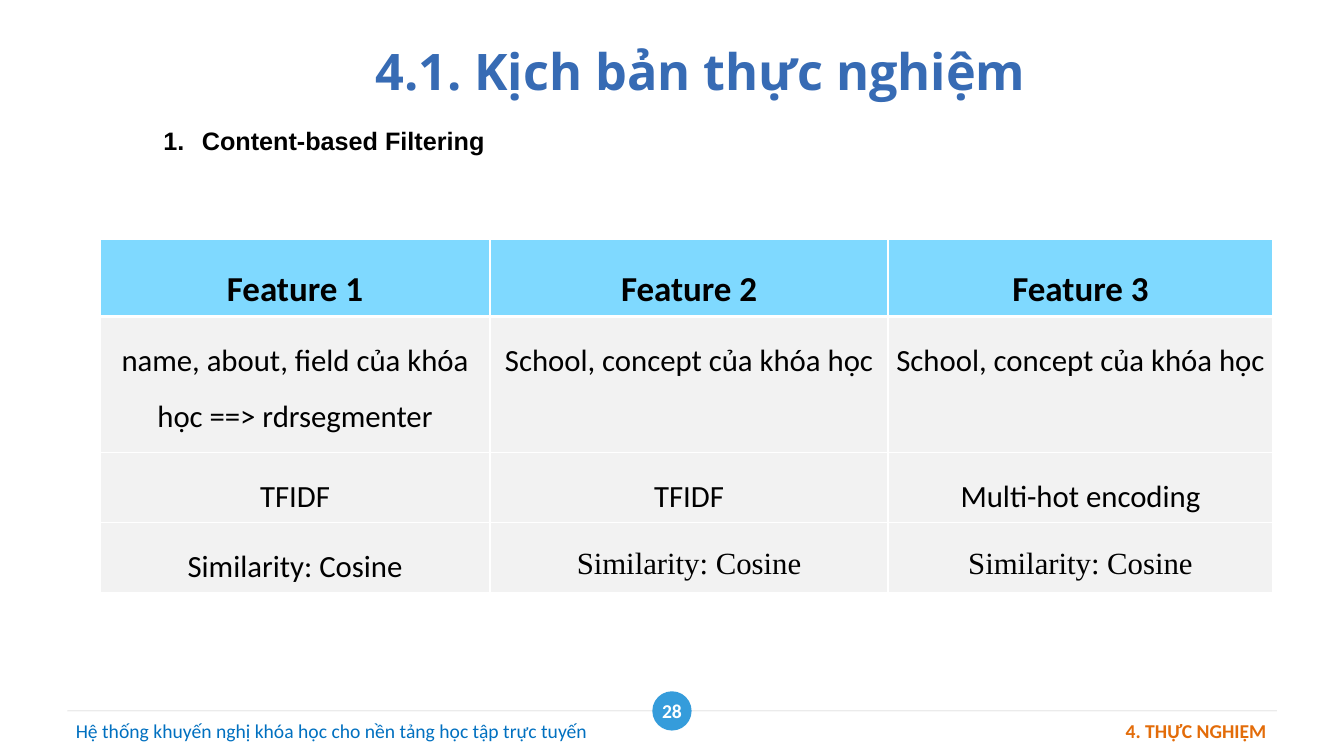
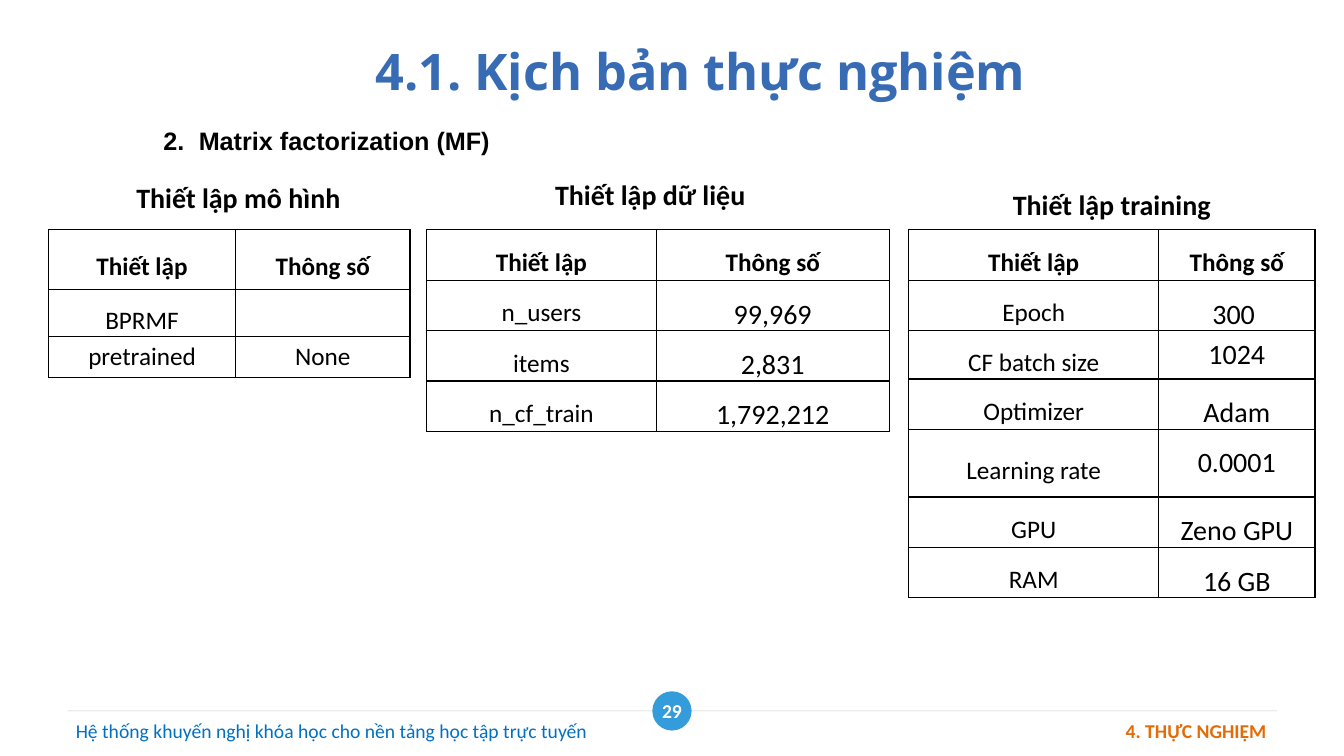
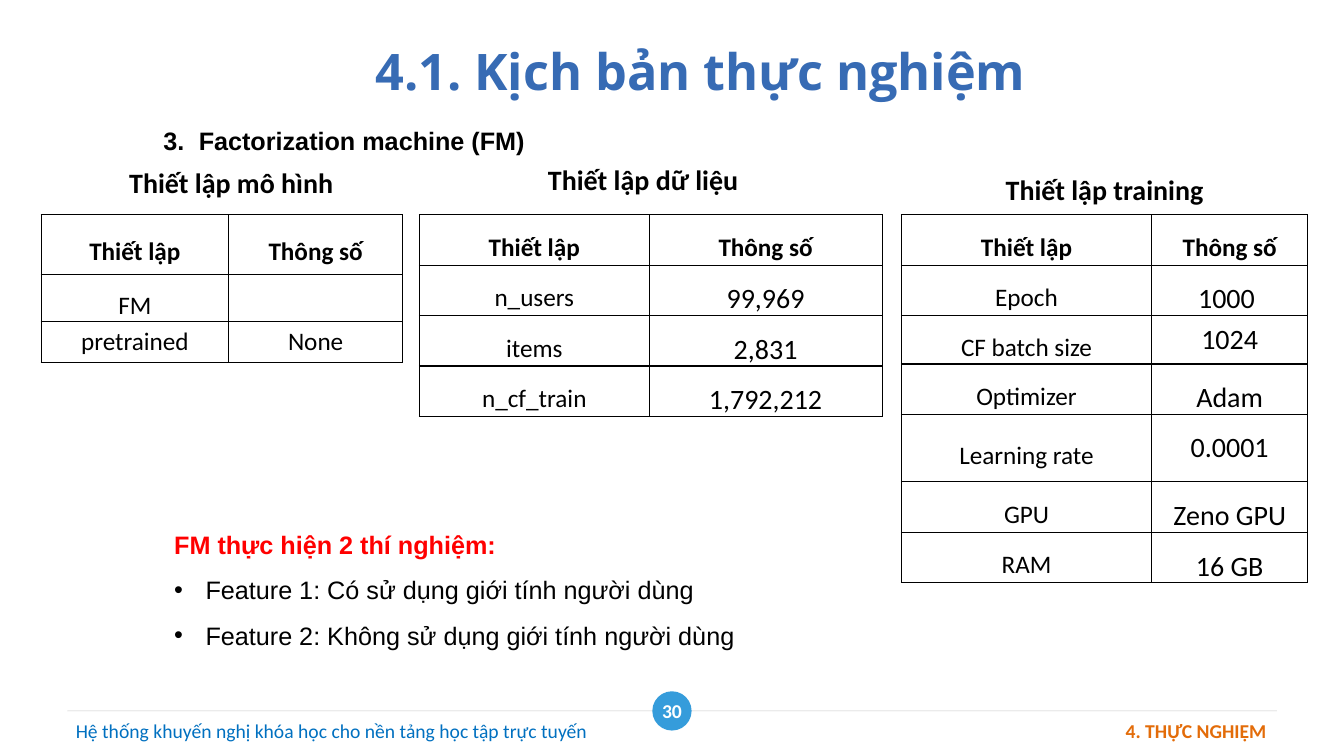
from lxml import etree
from pptx import Presentation
from pptx.dml.color import RGBColor
from pptx.enum import shapes, text
from pptx.oxml import ns
from pptx.util import Cm, Pt

WHITE = RGBColor(0xFF, 0xFF, 0xFF)
BLACK = RGBColor(0, 0, 0)
RED = RGBColor(0xFF, 0, 0)
TITLE_BLUE = RGBColor(0x37, 0x6B, 0xB4)
FOOTER_BLUE = RGBColor(0x00, 0x70, 0xC0)
FOOTER_ORANGE = RGBColor(0xE3, 0x6C, 0x09)
BADGE_BLUE = RGBColor(0x35, 0x9C, 0xDB)
RULE_GRAY = RGBColor(0xD8, 0xD8, 0xD8)
HEADER_SKY = RGBColor(0x7F, 0xD9, 0xFF)
CELL_GRAY = RGBColor(0xF2, 0xF2, 0xF2)

LEFT, CENTER, RIGHT, JUSTIFY = (
    text.PP_ALIGN.LEFT, text.PP_ALIGN.CENTER, text.PP_ALIGN.RIGHT, text.PP_ALIGN.JUSTIFY)
MIDDLE, TOP = text.MSO_ANCHOR.MIDDLE, text.MSO_ANCHOR.TOP

FEATURES = [
    ["Feature 1", "Feature 2", "Feature 3"],
    ["name, about, field của khóa học ==> rdrsegmenter",
     "School, concept của khóa học", "School, concept của khóa học"],
    ["TFIDF", "TFIDF", "Multi-hot encoding"],
    ["Similarity: Cosine", "Similarity: Cosine", "Similarity: Cosine"],
]
SETTING_HEADER = ["Thiết lập", "Thông số"]


def sub(parent, tag, **attributes):
    return etree.SubElement(parent, ns.qn(tag), attributes)


def style(paragraph, size, font="Calibri", color=BLACK, bold=False, align=LEFT, spacing=1.0):
    paragraph.alignment = align
    paragraph.line_spacing = spacing
    for run in paragraph.runs:
        run.font.name = font
        run.font.size = Pt(size)
        run.font.bold = bold
        run.font.color.rgb = color


def add_text(slide, left, top, width, height, lines, anchor=TOP, **look):
    """Add a wrapped text box, one paragraph per line, and return its paragraphs."""
    box = slide.shapes.add_textbox(Cm(left), Cm(top), Cm(width), Cm(height))
    frame = box.text_frame
    frame.word_wrap = True
    frame.vertical_anchor = anchor
    frame.text = "\n".join(lines)
    for paragraph in frame.paragraphs:
        style(paragraph, **look)
    return frame.paragraphs


def hang(paragraph, margin, hanging=0, number=None, bullet=None):
    """Indent a paragraph, with a start number or a bullet in the hanging part."""
    properties = paragraph._p.get_or_add_pPr()
    properties.set("marL", str(Cm(margin)))
    properties.set("indent", str(-Cm(hanging)))
    if number:
        sub(properties, "a:buAutoNum", type="arabicPeriod", startAt=str(number))
    if bullet:
        sub(properties, "a:buFont", typeface="Arial")
        sub(properties, "a:buChar", char=bullet)


def set_borders(cell, color, top=1, bottom=1):
    properties = cell._tc.get_or_add_tcPr()
    widths = {"a:lnL": 1, "a:lnR": 1, "a:lnT": top, "a:lnB": bottom}
    for position, (tag, width) in enumerate(widths.items()):
        line = etree.Element(ns.qn(tag), w=str(Pt(width)))
        fill = sub(line, "a:solidFill")
        sub(fill, "a:srgbClr", val=str(color))
        properties.insert(position, line)


def add_grid(slide, left, top, widths, heights, rows):
    """Add an unstyled table filled with text and return it."""
    frame = slide.shapes.add_table(len(rows), len(widths), Cm(left), Cm(top),
                                   Cm(sum(widths)), Cm(sum(heights)))
    table = frame.table
    table.first_row = table.horz_banding = False
    for column, width in zip(table.columns, widths):
        column.width = Cm(width)
    for table_row, height, values in zip(table.rows, heights, rows):
        table_row.height = Cm(height)
        for cell, value in zip(table_row.cells, values):
            cell.text = value
            cell.margin_left = cell.margin_right = Cm(0.18)
    return table


def add_feature_table(slide):
    table = add_grid(slide, 2.52, 6.03, [9.83, 10.03, 9.7], [1.35, 3.43, 1.32, 1.32], FEATURES)
    last = len(FEATURES) - 1
    for r, row in enumerate(table.rows):
        for c, cell in enumerate(row.cells):
            header = r == 0
            cell.margin_top = cell.margin_bottom = Cm(0.18)
            cell.fill.solid()
            cell.fill.fore_color.rgb = HEADER_SKY if header else CELL_GRAY
            set_borders(cell, WHITE, top=3 if r == 1 else 1, bottom=3 if header else 1)
            serif = r == last and c > 0
            style(cell.text_frame.paragraphs[0], 25 if header else 22,
                  font="Times New Roman" if serif else "Calibri",
                  bold=header, align=CENTER, spacing=1.5)


def add_setting_table(slide, left, top, widths, heights, rows, value_size=20, tight=()):
    """Add a bordered label/value table; tight lists the single-spaced (row, column) cells."""
    table = add_grid(slide, left, top, widths, heights, [SETTING_HEADER] + rows)
    for r, row in enumerate(table.rows):
        for c, cell in enumerate(row.cells):
            cell.margin_top = cell.margin_bottom = 0
            cell.vertical_anchor = MIDDLE
            cell.fill.background()
            set_borders(cell, BLACK)
            style(cell.text_frame.paragraphs[0], value_size if r and c else 18,
                  bold=r == 0, align=CENTER, spacing=1.0 if (r, c) in tight else 1.5)


def add_caption(slide, center, top, caption):
    width = 8
    add_text(slide, center - width / 2, top, width, 1.12, [caption],
             size=20, bold=True, align=CENTER)


def add_settings(slide, model, epochs, dx=0.0, dy=0.0):
    """Add the model, data and training settings, moved together by dx and dy."""
    top = 5.79 + dy
    add_setting_table(slide, 1.22 + dx, top, [4.72, 4.39], [1.5, 1.19, 1.04],
                      [[model, ""], ["pretrained", "None"]],
                      value_size=18, tight=[(2, 0), (2, 1)])
    add_setting_table(slide, 10.75 + dx, top, [5.79, 5.87], [1.27] + [1.04] * 3,
                      [["n_users", "99,969"], ["items", "2,831"], ["n_cf_train", "1,792,212"]])
    add_setting_table(slide, 22.9 + dx, top, [6.3, 3.94],
                      [1.27, 1.02, 1.22, 1.02, 1.7, 1.02, 1.02],
                      [["Epoch", epochs], ["CF batch size", "1024"], ["Optimizer", "Adam"],
                       ["Learning rate", "0.0001"], ["GPU", "Zeno GPU"], ["RAM", "16 GB"]],
                      tight=[(2, 1), (4, 1)])
    add_caption(slide, 6.01 + dx, 4.42 + dy, "Thiết lập mô hình")
    add_caption(slide, 16.39 + dx, 4.34 + dy, "Thiết lập dữ liệu")
    add_caption(slide, 28.02 + dx, 4.6 + dy, "Thiết lập training")


def add_footer(slide, page):
    rule = slide.shapes.add_connector(shapes.MSO_CONNECTOR.STRAIGHT,
                                      Cm(1.7), Cm(17.91), Cm(32.18), Cm(17.91))
    rule.line.width = Pt(0.75)
    rule.line.color.rgb = RULE_GRAY
    properties = rule._element.spPr
    sub(properties.find(".//" + ns.qn("a:srgbClr")), "a:alpha", val="50000")
    sub(properties, "a:effectLst")

    badge = slide.shapes.add_shape(shapes.MSO_SHAPE.OVAL,
                                   Cm(16.44), Cm(17.42), Cm(0.99), Cm(0.99))
    badge.shadow.inherit = False
    badge.fill.solid()
    badge.fill.fore_color.rgb = BADGE_BLUE
    badge.line.fill.background()
    frame = badge.text_frame
    frame.margin_left = frame.margin_right = frame.margin_top = frame.margin_bottom = 0
    frame.word_wrap = False
    frame.vertical_anchor = MIDDLE
    frame.text = str(page)
    style(frame.paragraphs[0], 14, color=WHITE, bold=True, align=CENTER)

    add_text(slide, 1.66, 17.98, 15.06, 0.86,
             ["Hệ thống khuyến nghị khóa học cho nền tảng học tập trực tuyến"],
             size=14, color=FOOTER_BLUE)
    add_text(slide, 17.64, 17.98, 14.53, 0.86, ["4. THỰC NGHIỆM"],
             size=14, color=FOOTER_ORANGE, bold=True, align=RIGHT)


def add_scenario_slide(prs, page, number, method, margin=2.16, hanging=0.89):
    """Add a slide with the shared title and footer and a numbered method heading."""
    slide = prs.slides.add_slide(prs.slide_layouts[6])
    add_footer(slide, page)
    add_text(slide, 2.01, 0.78, 31.29, 1.98, ["4.1. Kịch bản thực nghiệm"], anchor=MIDDLE,
             size=36, font="Open Sans", color=TITLE_BLUE, bold=True, align=CENTER)
    heading = add_text(slide, 2.6, 2.65, 29.57, 1.27, [method],
                       size=18, font="Arial", bold=True, align=JUSTIFY, spacing=1.5)[0]
    hang(heading, margin, hanging, number=number)
    return slide


def add_experiments(slide):
    lead, *experiments = add_text(
        slide, 2.87, 12.83, 29.57, 4.72,
        ["FM thực hiện 2 thí nghiệm:",
         "Feature 1: Có sử dụng giới tính người dùng",
         "Feature 2: Không sử dụng giới tính người dùng"],
        size=18, font="Arial", align=JUSTIFY, spacing=1.5)
    style(lead, 18, font="Arial", color=RED, bold=True, align=JUSTIFY, spacing=1.5)
    hang(lead, 1.27)
    for experiment in experiments:
        hang(experiment, 2.06, 0.79, bullet="•")


def main():
    prs = Presentation()
    prs.slide_width, prs.slide_height = Cm(33.87), Cm(19.05)

    content_based = add_scenario_slide(prs, 28, 1, "Content-based Filtering", 2.24, 0.97)
    add_feature_table(content_based)

    matrix = add_scenario_slide(prs, 29, 2, "Matrix factorization (MF)")
    add_settings(matrix, "BPRMF", "300 ")

    machine = add_scenario_slide(prs, 30, 3, "Factorization machine (FM)")
    add_settings(machine, "FM", "1000 ", dx=-0.18, dy=-0.38)
    add_experiments(machine)

    prs.save("out.pptx")


if __name__ == "__main__":
    main()
